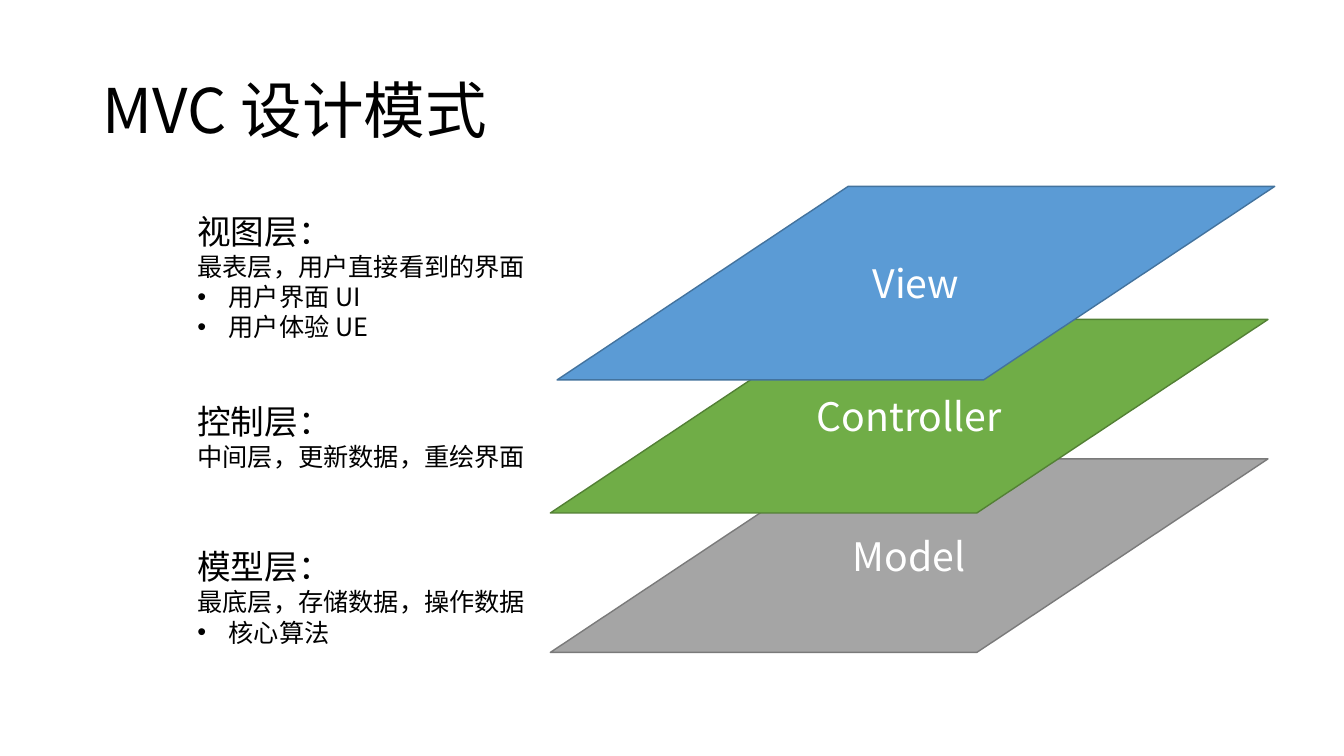
"""Build the slide that explains the three layers of the MVC design pattern."""
from dataclasses import dataclass

from lxml.etree import SubElement
from pptx import Presentation
from pptx.dml.color import RGBColor as Color
from pptx.enum.shapes import MSO_SHAPE as Preset
from pptx.enum.text import MSO_ANCHOR as Anchor, MSO_AUTO_SIZE as AutoSize, PP_ALIGN as Align
from pptx.oxml.ns import qn
from pptx.util import Inches, Pt


@dataclass(frozen=True)
class Theme:
    font: str = "Noto Sans CJK SC"
    ink: str = "000000"
    label: str = "FFFFFF"
    model: tuple = ("A5A5A5", "7A7A7A")
    controller: tuple = ("70AD47", "538035")
    view: tuple = ("5B9BD5", "43739E")
    title_size: int = 44
    label_size: int = 28
    heading_size: int = 24
    detail_size: int = 18


theme = Theme()
presentation = Presentation()
presentation.slide_width = Inches(13.33)
presentation.slide_height = Inches(7.5)
slide = presentation.slides.add_slide(presentation.slide_layouts[5])


def percent_box(left, top, width, height):
    across = presentation.slide_width / 100
    down = presentation.slide_height / 100
    return round(left * across), round(top * down), round(width * across), round(height * down)


def format_runs(paragraph, size, color):
    for run in paragraph.runs:
        run.font.name = theme.font
        run.font.size = Pt(size)
        run.font.color.rgb = Color.from_string(color)
        SubElement(run.font._element, qn("a:ea"), typeface=theme.font)


title = slide.shapes.title
title.left, title.top, title.width, title.height = percent_box(6.88, 5.32, 86.25, 19.33)
title.text_frame.text = "MVC 设计模式"
title.text_frame.vertical_anchor = Anchor.MIDDLE
title_paragraph = title.text_frame.paragraphs[0]
title_paragraph.alignment = Align.LEFT
title_paragraph.line_spacing = 0.9
format_runs(title_paragraph, theme.title_size, theme.ink)

layers = [
    ("Model", 40.95, 60.7, theme.model),
    ("Controller", 40.95, 42.25, theme.controller),
    ("View", 41.45, 24.65, theme.view),
]
for name, left, top, (fill, outline) in layers:
    layer = slide.shapes.add_shape(Preset.PARALLELOGRAM, *percent_box(left, top, 53.4, 25.6))
    layer.adjustments[0] = 1.504
    layer.shadow.inherit = False
    layer.fill.solid()
    layer.fill.fore_color.rgb = Color.from_string(fill)
    layer.line.color.rgb = Color.from_string(outline)
    layer.line.width = Pt(1)
    layer.text_frame.text = name
    layer.text_frame.vertical_anchor = Anchor.MIDDLE
    label = layer.text_frame.paragraphs[0]
    label.alignment = Align.CENTER
    format_runs(label, theme.label_size, theme.label)

descriptions = [
    (27.2, 18.8, "视图层：", "最表层，用户直接看到的界面", ["用户界面 UI", "用户体验 UE"]),
    (52.4, 10.8, "控制层：", "中间层，更新数据，重绘界面", []),
    (71.6, 14.8, "模型层：", "最底层，存储数据，操作数据", ["核心算法"]),
]
indent = Inches(0.31)
for top, height, heading, summary, points in descriptions:
    description = slide.shapes.add_textbox(*percent_box(13.95, top, 36.1, height))
    text_frame = description.text_frame
    text_frame.word_wrap = True
    text_frame.auto_size = AutoSize.SHAPE_TO_FIT_TEXT
    text_frame.text = "\n".join([heading, summary, *points])
    for index, paragraph in enumerate(text_frame.paragraphs):
        if index > 1:
            properties = paragraph._p.get_or_add_pPr()
            properties.set("marL", str(indent))
            properties.set("indent", str(-indent))
            SubElement(properties, qn("a:buFont"), typeface="Arial")
            SubElement(properties, qn("a:buChar"), char="•")
        size = theme.detail_size if index else theme.heading_size
        format_runs(paragraph, size, theme.ink)

presentation.save("out.pptx")
